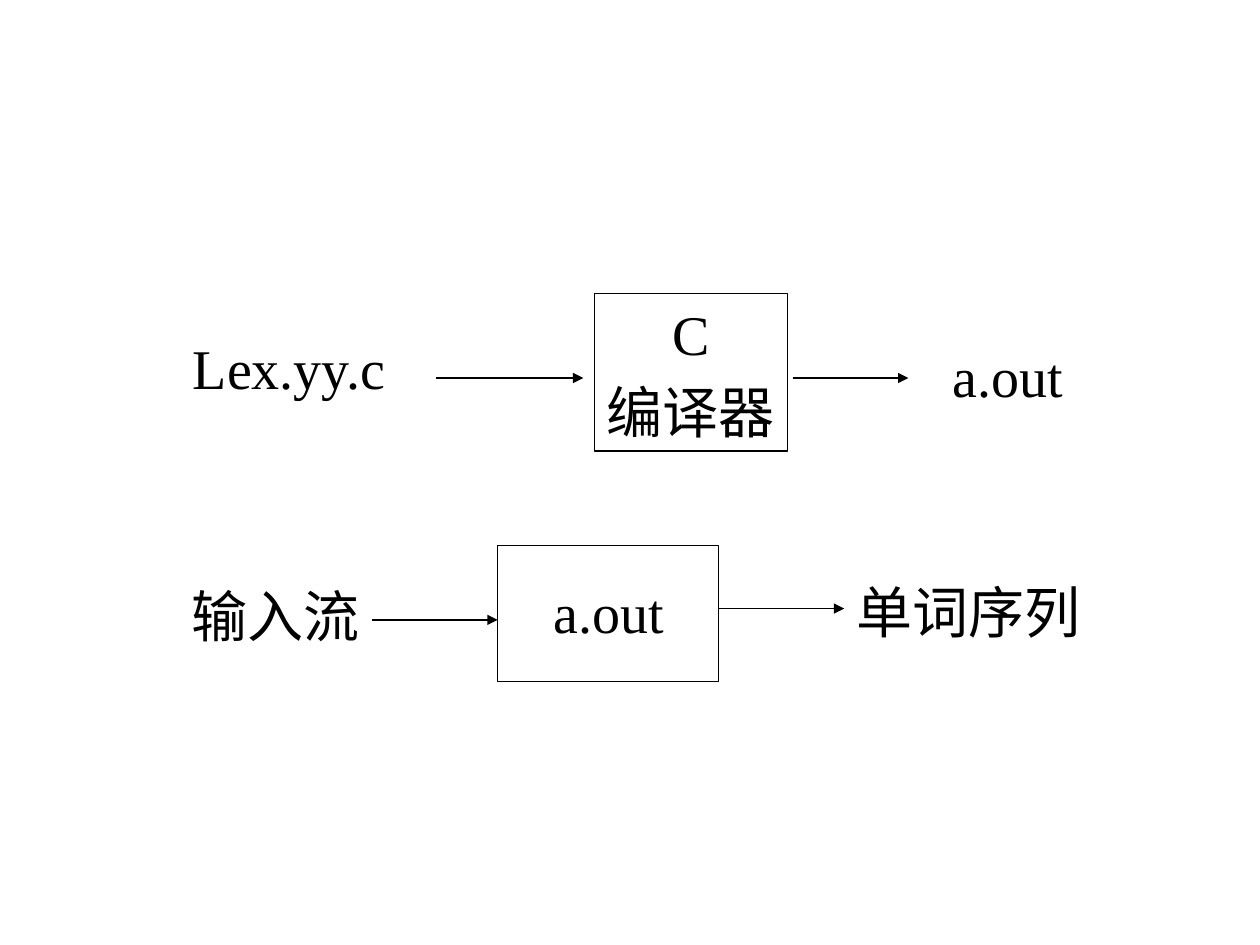
import pptx
import pptx.dml.color
import pptx.enum.shapes
import pptx.enum.text
import pptx.oxml.ns
import pptx.util
from lxml import etree
from pptx.util import Inches

BLACK = pptx.dml.color.RGBColor(0, 0, 0)
WHITE = pptx.dml.color.RGBColor(255, 255, 255)
FONT = "Times New Roman"
LABEL_HEIGHT = 0.64


def write_lines(shape, lines):
    """Write centred lines of text in the middle of a shape."""
    frame = shape.text_frame
    frame.word_wrap = False
    frame.auto_size = pptx.enum.text.MSO_AUTO_SIZE.SHAPE_TO_FIT_TEXT
    frame.vertical_anchor = pptx.enum.text.MSO_ANCHOR.MIDDLE
    frame.margin_left = frame.margin_right = Inches(0.05)
    for index, line in enumerate(lines):
        paragraph = frame.add_paragraph() if index else frame.paragraphs[0]
        paragraph.alignment = pptx.enum.text.PP_ALIGN.CENTER
        if index:
            paragraph.space_before = pptx.util.Pt(6)
        run = paragraph.add_run()
        run.text = line
        run.font.name = FONT
        run.font.size = pptx.util.Pt(32)
        run.font.color.rgb = BLACK


def add_label(shapes, left, top, width, text):
    """Add a one-line label."""
    label = shapes.add_textbox(Inches(left), Inches(top), Inches(width), Inches(LABEL_HEIGHT))
    write_lines(label, [text])


def add_process(shapes, left, top, width, height):
    """Add an outlined process box and return it."""
    process = shapes.add_shape(
        pptx.enum.shapes.MSO_SHAPE.RECTANGLE,
        Inches(left), Inches(top), Inches(width), Inches(height))
    process.shadow.inherit = False
    process.fill.solid()
    process.fill.fore_color.rgb = WHITE
    process.line.color.rgb = BLACK
    process.line.width = pptx.util.Pt(0.75)
    return process


def add_arrow(shapes, left, top, length):
    """Add a horizontal arrow pointing right."""
    arrow = shapes.add_connector(
        pptx.enum.shapes.MSO_CONNECTOR.STRAIGHT,
        Inches(left), Inches(top), Inches(left + length), Inches(top))
    arrow.line.color.rgb = BLACK
    arrow.line.width = pptx.util.Pt(0.75)
    qn = pptx.oxml.ns.qn
    etree.SubElement(arrow.line._get_or_add_ln(), qn("a:tailEnd"), type="triangle")
    etree.SubElement(arrow._element.spPr, qn("a:effectLst"))


def add_compile_step(slide, left, top):
    """Show the C compiler turning Lex.yy.c into a.out."""
    shapes = slide.shapes.add_group_shape().shapes
    compiler = add_process(shapes, left + 3.3, top, 1.53, 1.25)
    write_lines(compiler, ["C", "编译器"])
    add_arrow(shapes, left + 2.04, top + 0.67, 1.17)
    add_arrow(shapes, left + 4.87, top + 0.67, 0.92)
    add_label(shapes, left, top + 0.26, 1.75, "Lex.yy.c")
    add_label(shapes, left + 6.04, top + 0.33, 1.08, "a.out")


def add_run_step(slide, left, top):
    """Show a.out turning the input stream into a word sequence."""
    shapes = slide.shapes.add_group_shape().shapes
    add_process(shapes, left + 2.53, top, 1.75, 1.08)
    add_label(shapes, left + 2.87, top + 0.2, 1.08, "a.out")
    add_arrow(shapes, left + 1.53, top + 0.59, 1)
    add_arrow(shapes, left + 4.28, top + 0.5, 1)
    add_label(shapes, left, top + 0.23, 1.53, "输入流")
    add_label(shapes, left + 5.28, top + 0.2, 1.98, "单词序列")


def main():
    """Build the slide and save it."""
    deck = pptx.Presentation()
    deck.slide_width = Inches(10)
    deck.slide_height = Inches(7.5)
    slide = deck.slides.add_slide(deck.slide_layouts[6])
    slide.background.fill.solid()
    slide.background.fill.fore_color.rgb = WHITE
    add_compile_step(slide, 1.42, 2.33)
    add_run_step(slide, 1.42, 4.33)
    deck.save("out.pptx")


if __name__ == "__main__":
    main()
